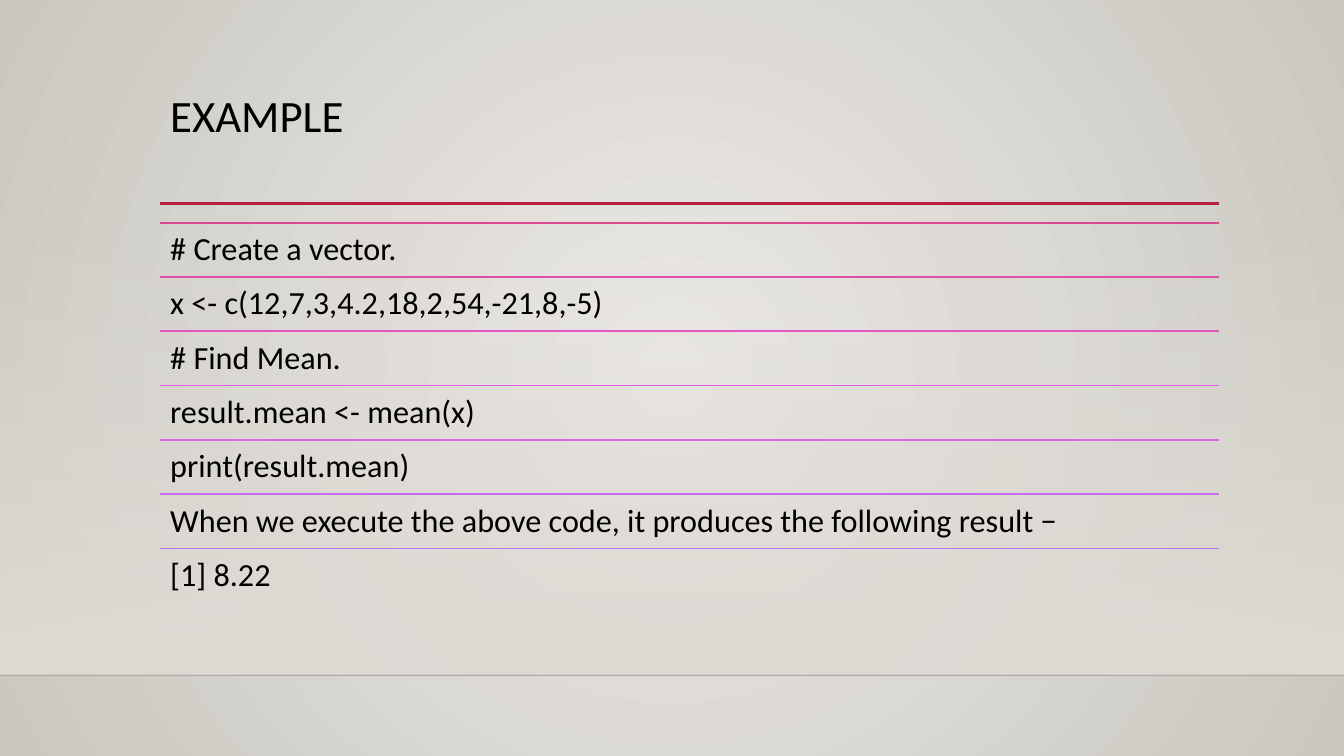
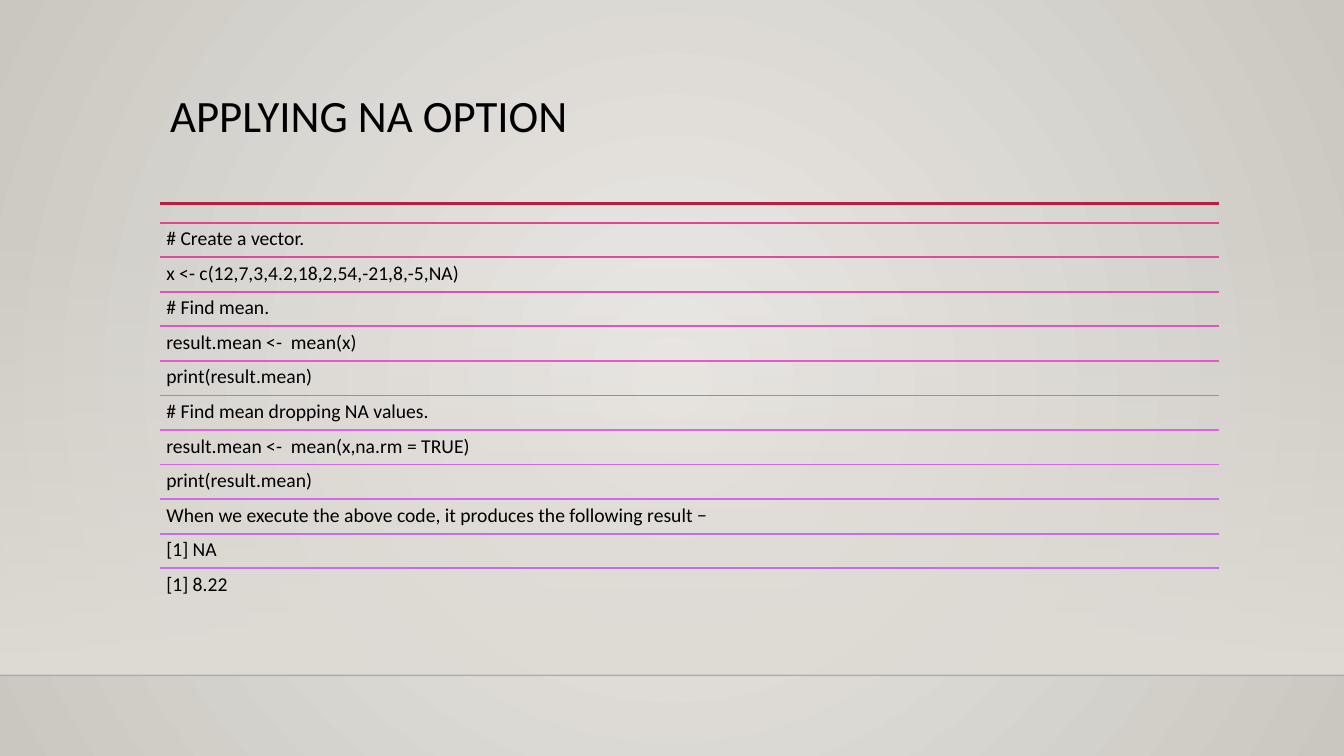
from colorsys import hls_to_rgb, rgb_to_hls
from dataclasses import dataclass

from lxml import etree
from pptx import Presentation
from pptx.dml.color import RGBColor
from pptx.enum.shapes import MSO_CONNECTOR, MSO_SHAPE
from pptx.enum.text import MSO_ANCHOR
from pptx.oxml import parse_xml
from pptx.oxml.ns import nsdecls, qn
from pptx.util import Inches, Pt

STRAIGHT = MSO_CONNECTOR.STRAIGHT
RECTANGLE = MSO_SHAPE.RECTANGLE
TOP = MSO_ANCHOR.TOP
BLANK_LAYOUT = 6


@dataclass(frozen=True)
class Theme:
    font: str = "Calibri"
    text: str = "000000"
    glow_center: str = "ECEAE7"
    glow_edge: str = "CAC7C1"
    band: str = "DFDBD5"
    floor: str = "000001"
    title_rule: str = "B71E42"
    first_rule: str = "DE478E"
    last_rule: str = "BC72F0"
    title_size: float = 32
    line_spacing: float = 0.9
    floor_width: float = 1
    title_rule_width: float = 2.5
    row_rule_width: float = 1.25


@dataclass(frozen=True)
class Box:
    left: float
    top: float
    width: float
    height: float

    @property
    def right(self):
        return self.left + self.width

    @property
    def bottom(self):
        return self.top + self.height

    def rows(self, count):
        step = self.height / count
        return [Box(self.left, self.top + index * step, self.width, step)
                for index in range(count)]

    def inches(self):
        return [Inches(side) for side in (self.left, self.top, self.width, self.height)]


THEME = Theme()
PAGE = Box(0, 0, 13.33, 7.5)
BAND = Box(0, 2.21, 13.33, 4.49)
TITLE = Box(1.59, 0.88, 10.5, 1.15)
LISTING = Box(1.59, 2.21, 10.5, 3.77)
TITLE_RULE_TOP = 2.02

RADIAL = ('<a:path path="circle"><a:fillToRect l="50000" t="50000" '
          'r="50000" b="50000"/></a:path>')
DOWNWARD = '<a:lin ang="5400000" scaled="0"/>'

SLIDES = [
    {
        "title": "EXAMPLE", "size": 23, "inset": 0.1,
        "lines": [
            "# Create a vector.",
            "x <- c(12,7,3,4.2,18,2,54,-21,8,-5)",
            "# Find Mean.",
            "result.mean <- mean(x)",
            "print(result.mean)",
            "When we execute the above code, it produces the following result −",
            "[1] 8.22",
        ],
    },
    {
        "title": "APPLYING NA OPTION", "size": 14, "inset": 0.06,
        "lines": [
            "# Create a vector.",
            "x <- c(12,7,3,4.2,18,2,54,-21,8,-5,NA)",
            "# Find mean.",
            "result.mean <-  mean(x)",
            "print(result.mean)",
            "# Find mean dropping NA values.",
            "result.mean <-  mean(x,na.rm = TRUE)",
            "print(result.mean)",
            "When we execute the above code, it produces the following result −",
            "[1] NA",
            "[1] 8.22",
        ],
    },
]


def set_gradient(fill, element, stops, direction):
    """Fill with (position, colour, opacity) stops, all in percent."""
    fill.gradient()
    stop_xml = "".join(
        f'<a:gs pos="{position * 1000}"><a:srgbClr val="{color}">'
        f'<a:alpha val="{opacity * 1000}"/></a:srgbClr></a:gs>'
        for position, color, opacity in stops)
    old = element.find(".//" + qn("a:gradFill"))
    old.getparent().replace(old, parse_xml(
        f'<a:gradFill {nsdecls("a")} rotWithShape="1">'
        f"<a:gsLst>{stop_xml}</a:gsLst>{direction}</a:gradFill>"))


def color_ramp(first, last, count):
    """Blend two colours evenly by hue, lightness and saturation."""
    start, end = (rgb_to_hls(*(part / 255 for part in RGBColor.from_string(color)))
                  for color in (first, last))
    for index in range(count):
        share = index / (count - 1)
        blend = [low + (high - low) * share for low, high in zip(start, end)]
        yield RGBColor(*(round(part * 255) for part in hls_to_rgb(*blend)))


def add_rule(page, left, right, top, color, width, opacity=100):
    rule = page.shapes.add_connector(
        STRAIGHT, Inches(left), Inches(top), Inches(right), Inches(top))
    rule.line.color.rgb = color
    rule.line.width = Pt(width)
    properties = rule._element.spPr
    if opacity < 100:
        tint = properties.find(".//" + qn("a:srgbClr"))
        etree.SubElement(tint, qn("a:alpha")).set("val", str(opacity * 1000))
    etree.SubElement(properties, qn("a:effectLst"))


def add_text(page, box, text, size, inset_x, inset_y):
    frame = page.shapes.add_textbox(*box.inches()).text_frame
    frame_format = {
        "word_wrap": True, "vertical_anchor": TOP,
        "margin_left": Inches(inset_x), "margin_right": Inches(inset_x),
        "margin_top": Inches(inset_y), "margin_bottom": Inches(inset_y),
    }
    for name, value in frame_format.items():
        setattr(frame, name, value)
    para = frame.paragraphs[0]
    para.line_spacing = THEME.line_spacing
    span = para.add_run()
    span.text = text
    for name, value in {"name": THEME.font, "size": Pt(size)}.items():
        setattr(span.font, name, value)
    span.font.color.rgb = RGBColor.from_string(THEME.text)


def add_backdrop(page, box):
    set_gradient(page.background.fill, page._element,
                 [(0, THEME.glow_center, 100), (100, THEME.glow_edge, 100)], RADIAL)
    band = page.shapes.add_shape(RECTANGLE, *box.inches())
    band.shadow.inherit = False
    band.line.fill.background()
    set_gradient(band.fill, band._element,
                 [(0, THEME.band, 0), (100, THEME.band, 100)], DOWNWARD)
    add_rule(page, box.left, box.right, box.bottom,
             RGBColor.from_string(THEME.floor), THEME.floor_width, opacity=20)


def add_title(page, box, text):
    add_rule(page, box.left, box.right, TITLE_RULE_TOP,
             RGBColor.from_string(THEME.title_rule), THEME.title_rule_width)
    add_text(page, box, text, THEME.title_size, 0.1, 0.05)


def add_listing(page, box, lines, size, inset):
    """Stack the lines in equal rows, each under its own rule."""
    colors = color_ramp(THEME.first_rule, THEME.last_rule, len(lines))
    for row, text, color in zip(box.rows(len(lines)), lines, colors):
        add_rule(page, row.left, row.right, row.top, color, THEME.row_rule_width)
        add_text(page, row, text, size, inset, inset)


def add_code_slide(deck, title, lines, size, inset):
    page = deck.slides.add_slide(deck.slide_layouts[BLANK_LAYOUT])
    add_backdrop(page, BAND)
    add_title(page, TITLE, title)
    add_listing(page, LISTING, lines, size, inset)


def main():
    deck = Presentation()
    deck.slide_width = Inches(PAGE.width)
    deck.slide_height = Inches(PAGE.height)
    for content in SLIDES:
        add_code_slide(deck, **content)
    deck.save("out.pptx")


if __name__ == "__main__":
    main()
